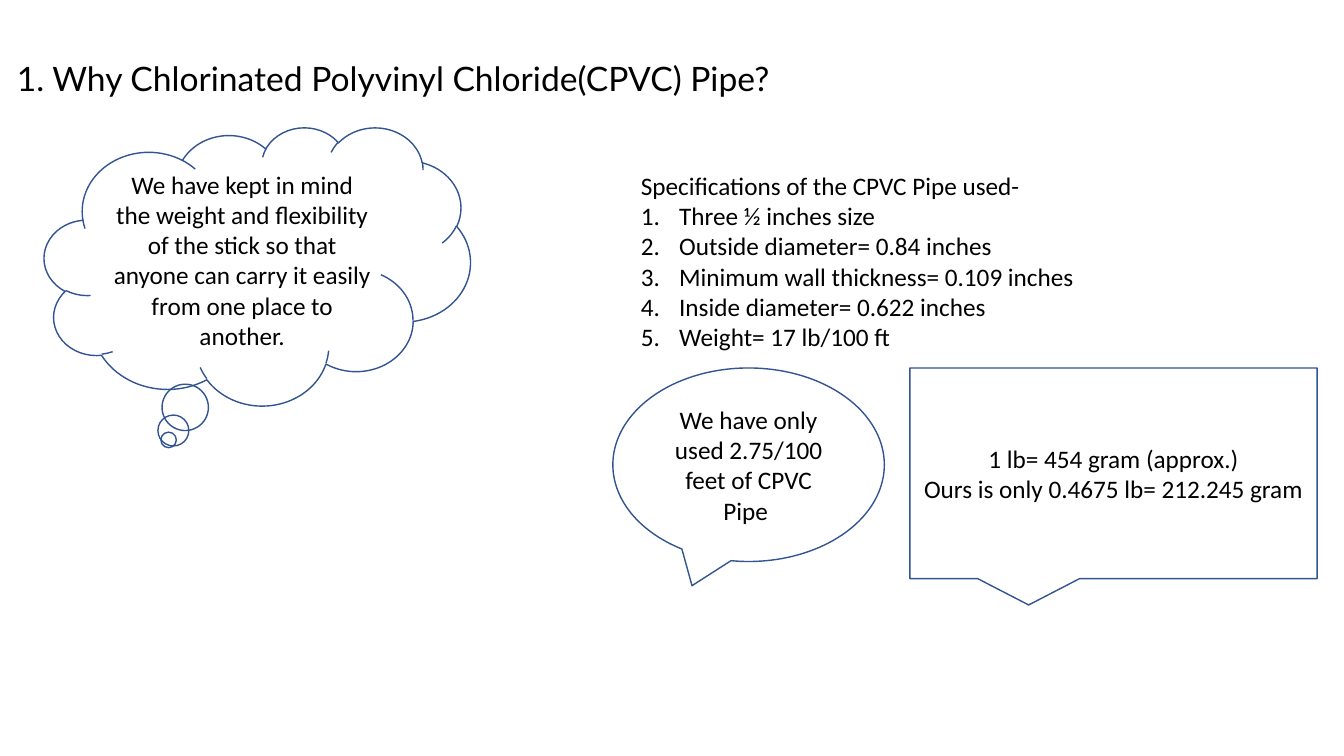
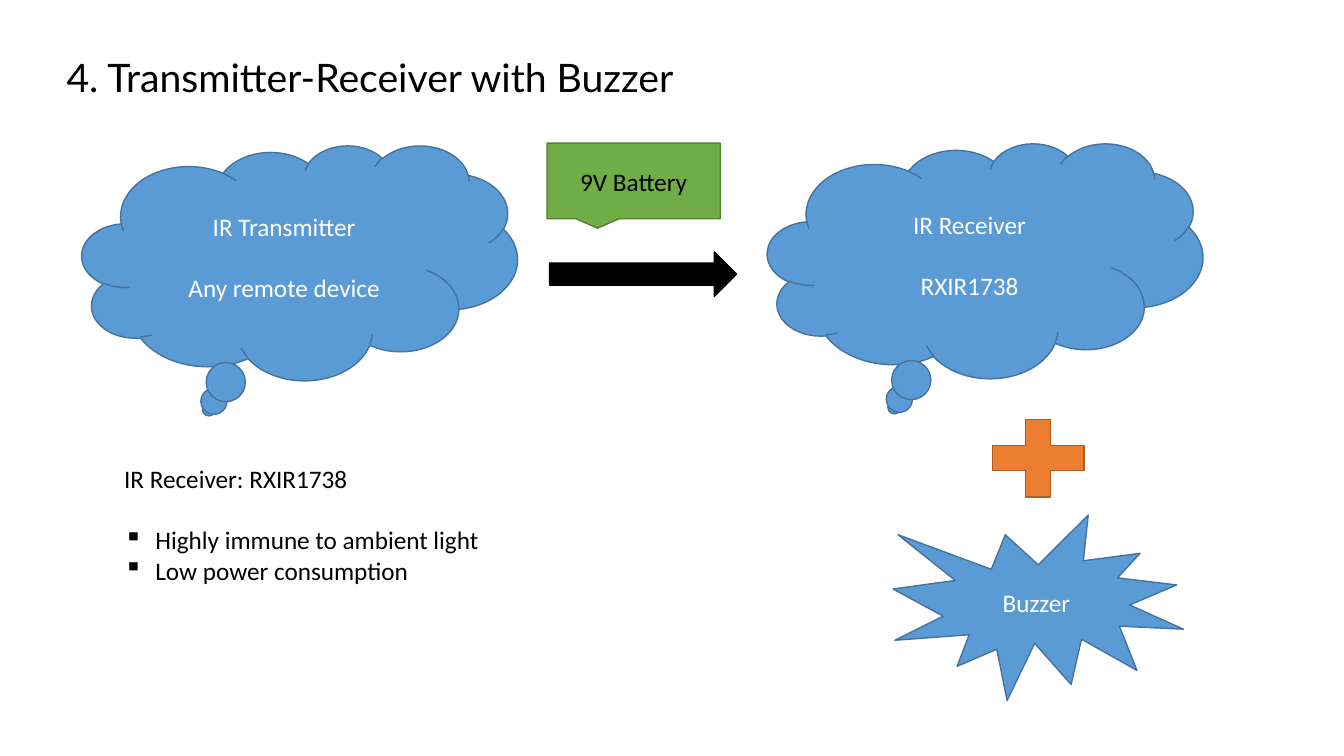
"""Build two project slides: the CPVC pipe, and the transmitter-receiver with buzzer."""
from lxml import etree
from pptx import Presentation
from pptx.dml.color import RGBColor
from pptx.enum.shapes import MSO_SHAPE
from pptx.enum.text import MSO_ANCHOR, MSO_AUTO_SIZE, PP_ALIGN
from pptx.oxml.ns import qn
from pptx.util import Inches, Pt

CLOUD, OVAL, BOX = (MSO_SHAPE.CLOUD_CALLOUT, MSO_SHAPE.OVAL_CALLOUT,
                    MSO_SHAPE.RECTANGULAR_CALLOUT)
ARROW, PLUS, BURST = MSO_SHAPE.RIGHT_ARROW, MSO_SHAPE.MATH_PLUS, MSO_SHAPE.EXPLOSION1
LEFT, CENTER = PP_ALIGN.LEFT, PP_ALIGN.CENTER
TOP, MIDDLE = MSO_ANCHOR.TOP, MSO_ANCHOR.MIDDLE
NO_FIT = MSO_AUTO_SIZE.NONE
BLACK, WHITE, NAVY = "000000", "FFFFFF", "325491"
BLUE, BLUE_EDGE = "5B9BD5", "43739E"
GREEN, GREEN_EDGE = "70AD47", "538035"
ORANGE, ORANGE_EDGE = "ED7D31", "AF5C24"
NUMBER = ("a:buAutoNum", "type", "arabicPeriod")
SQUARE = ("a:buChar", "char", "▪")
BLANK_LINE = 22

prs = Presentation()
prs.slide_width, prs.slide_height = Inches(13.33), Inches(7.5)


def place(sp, x, y, w, h):
    """Set a shape's box in percent of the slide's width and height."""
    sp.left, sp.width = (int(prs.slide_width * v / 100) for v in (x, w))
    sp.top, sp.height = (int(prs.slide_height * v / 100) for v in (y, h))


def write(tf, lines, color=BLACK, size=18, font="Calibri", align=CENTER, anchor=MIDDLE):
    """Fill a text frame with evenly formatted paragraphs."""
    tf.word_wrap, tf.auto_size, tf.vertical_anchor = True, NO_FIT, anchor
    for i, line in enumerate(lines):
        p = tf.add_paragraph() if i else tf.paragraphs[0]
        p.text, p.alignment = line, align
        p.font.name, p.font.size = font, Pt(size)
        p.font.color.rgb = RGBColor.from_string(color)


titles = [
    ("1. Why Chlorinated Polyvinyl Chloride(CPVC) Pipe?", 24, (0.5, 6.93, 98.6, 6.67)),
    ("4. Transmitter-Receiver with Buzzer", 28, (4.2, 6.4, 86, 7.6)),
]
callouts = [
    [
        (CLOUD, (3.3, 16.8, 31.7, 36.8), None, NAVY, BLACK,
         ["We have kept in mind the weight and flexibility of the stick so that "
          "anyone can carry it easily from one place to another."]),
        (OVAL, (45.6, 48.67, 20.2, 25.6), None, NAVY, BLACK,
         ["We have only used 2.75/100 feet of CPVC Pipe "]),
        (BOX, (67.7, 48.67, 30.3, 27.87), None, NAVY, BLACK,
         ["1 lb= 454 gram (approx.)", "Ours is only 0.4675 lb= 212.245 gram"]),
    ],
    [
        (CLOUD, (6.1, 19.2, 32.4, 31.07), BLUE, BLUE_EDGE, WHITE,
         ["IR Transmitter", "Any remote device"]),
        (CLOUD, (57.1, 18.93, 32.4, 31.07), BLUE, BLUE_EDGE, WHITE,
         ["IR Receiver", "RXIR1738"]),
        (ARROW, (40.9, 33.33, 13.9, 5.87), BLACK, BLACK, WHITE, []),
        (BOX, (40.7, 18.93, 12.9, 10), GREEN, GREEN_EDGE, BLACK, ["9V Battery"]),
        (PLUS, (72.6, 53.6, 9.3, 14), ORANGE, ORANGE_EDGE, WHITE, []),
        (BURST, (66.45, 68.13, 21.6, 24.53), BLUE, BLUE_EDGE, WHITE, ["Buzzer"]),
    ],
]
lists = [
    ((46.95, 21.87, 35.3, 25.6), NUMBER, 0.38, 0,
     ["Specifications of the CPVC Pipe used-", "Three ½ inches size",
      "Outside diameter= 0.84 inches", "Minimum wall thickness= 0.109 inches",
      "Inside diameter= 0.622 inches", "Weight= 17 lb/100 ft"]),
    ((8.5, 60.67, 30, 17.47), SQUARE, 0.31, BLANK_LINE,
     ["IR Receiver: RXIR1738", "Highly immune to ambient light",
      "Low power consumption"]),
]

for (title, size, box), shapes, listing in zip(titles, callouts, lists):
    s = prs.slides.add_slide(prs.slide_layouts[5])
    place(s.shapes.title, *box)
    write(s.shapes.title.text_frame, [title], BLACK, size, "Lato", LEFT, TOP)

    for kind, box, fill, edge, color, lines in shapes:
        sp = s.shapes.add_shape(kind, 0, 0, 0, 0)
        place(sp, *box)
        sp.shadow.inherit = False
        if fill:
            sp.fill.solid()
            sp.fill.fore_color.rgb = RGBColor.from_string(fill)
        else:
            sp.fill.background()
        sp.line.color.rgb = RGBColor.from_string(edge)
        sp.line.width = Pt(1)
        write(sp.text_frame, lines, color)
        if kind == CLOUD and len(lines) > 1:
            sp.text_frame.paragraphs[1].space_before = Pt(BLANK_LINE)

    box, (tag, key, value), indent, gap, lines = listing
    sp = s.shapes.add_textbox(0, 0, 0, 0)
    place(sp, *box)
    write(sp.text_frame, lines, align=LEFT, anchor=TOP)
    items = sp.text_frame.paragraphs[1:]
    items[0].space_before = Pt(gap)
    for p in items:
        pPr = p._p.get_or_add_pPr()
        pPr.set("marL", str(Inches(indent)))
        pPr.set("indent", str(-Inches(indent)))
        bullet = etree.Element(qn(tag))
        bullet.set(key, value)
        pPr.insert_element_before(bullet, "a:tabLst", "a:defRPr", "a:extLst")

prs.save("out.pptx")
